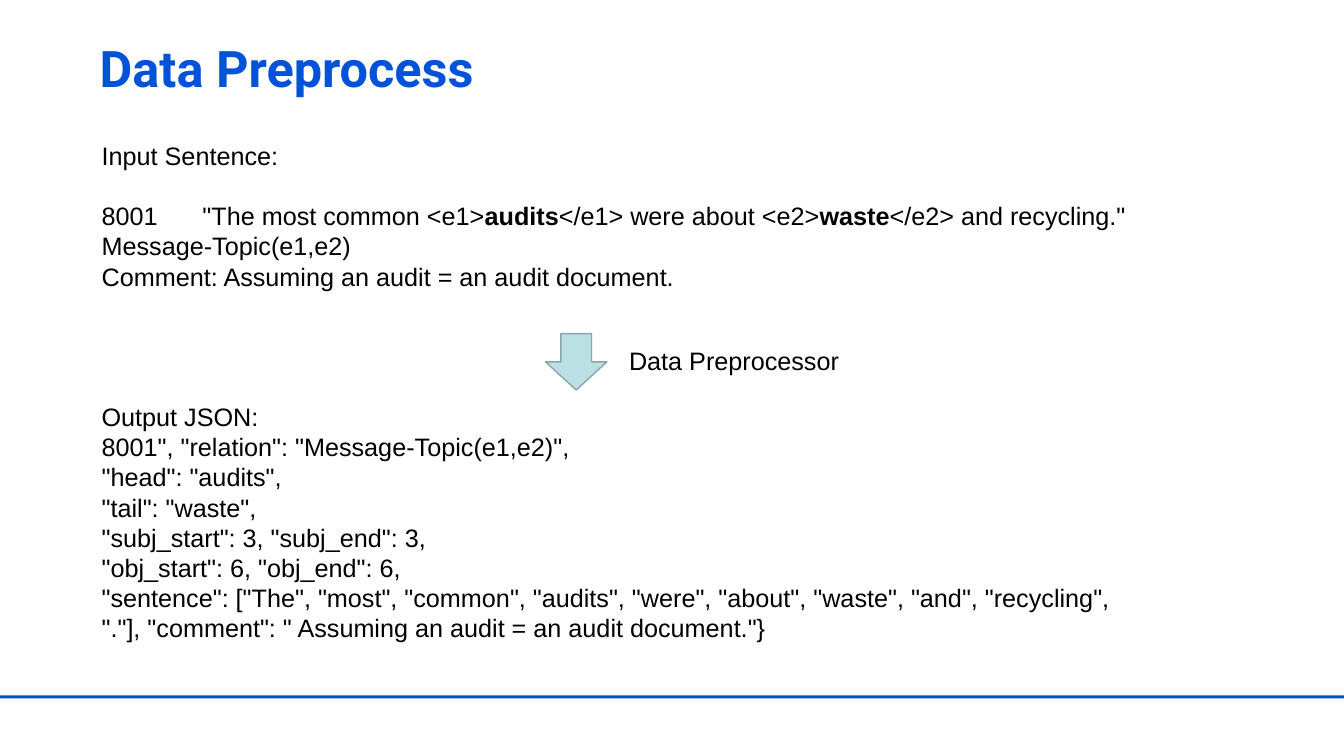
from dataclasses import dataclass

from pptx import Presentation
from pptx.dml.color import RGBColor
from pptx.enum.shapes import MSO_SHAPE
from pptx.enum.text import MSO_ANCHOR
from pptx.slide import Slide
from pptx.text.text import TextFrame
from pptx.util import Emu, Pt

PX = 9144  # 100 px to the inch
BOLD = "**"  # switches bold on and off


@dataclass(frozen=True)
class Theme:
    white: str = "FFFFFF"
    black: str = "000000"
    blue: str = "0052D9"
    rule: str = "004CD8"
    arrow: str = "BBE0E3"
    edge: str = "8AA6A8"
    head_font: str = "Roboto"
    body_font: str = "Arial"
    head_size: int = 36
    body_size: int = 18
    gap: float = 21.5


THEME = Theme()


@dataclass(frozen=True)
class Box:
    left: int
    top: int
    width: int
    height: int

    def emu(self) -> tuple[Emu, ...]:
        sides = (self.left, self.top, self.width, self.height)
        return tuple(Emu(side * PX) for side in sides)


@dataclass(frozen=True)
class Note:
    box: Box
    lines: tuple[str, ...]
    gap_at: int | None = None
    filled: bool = False
    title: bool = False


@dataclass(frozen=True)
class Block:
    kind: MSO_SHAPE
    box: Box
    fill: str
    edge: str | None = None


BLOCKS = (
    Block(MSO_SHAPE.RECTANGLE, Box(0, 690, 1333, 3), THEME.rule),
    Block(MSO_SHAPE.DOWN_ARROW, Box(541, 331, 61, 56), THEME.arrow, THEME.edge),
)

NOTES = (
    Note(Box(89, 36, 468, 61), ("Data Preprocess",), title=True),
    Note(
        Box(91, 134, 1045, 192),
        (
            "Input Sentence:",
            '8001\t"The most common <e1>**audits**</e1> were about '
            '<e2>**waste**</e2> and recycling."',
            "Message-Topic(e1,e2)",
            "Comment: Assuming an audit = an audit document.",
        ),
        gap_at=1,
        filled=True,
    ),
    Note(
        Box(91, 393, 1045, 252),
        (
            "Output JSON:",
            '8001", "relation": "Message-Topic(e1,e2)",',
            '"head": "audits",',
            '"tail": "waste",',
            '"subj_start": 3, "subj_end": 3,',
            '"obj_start": 6, "obj_end": 6,',
            '"sentence": ["The", "most", "common", "audits", "were", "about", '
            '"waste", "and", "recycling", "."], '
            '"comment": " Assuming an audit = an audit document."}',
        ),
        filled=True,
    ),
    Note(Box(614, 338, 231, 40), ("Data Preprocessor",)),
)


def color(code: str) -> RGBColor:
    return RGBColor.from_string(code)


def write(frame: TextFrame, note: Note) -> None:
    """Fill the frame line by line, with marked words in bold."""
    for row, line in enumerate(note.lines):
        para = frame.paragraphs[0] if row == 0 else frame.add_paragraph()
        if row == note.gap_at:
            para.space_before = Pt(THEME.gap)
        for part, words in enumerate(line.split(BOLD)):
            run = para.add_run()
            run.text = words
            font = run.font
            font.bold = note.title or part % 2 == 1
            font.name = THEME.head_font if note.title else THEME.body_font
            font.size = Pt(THEME.head_size if note.title else THEME.body_size)
            font.color.rgb = color(THEME.blue if note.title else THEME.black)


def add_note(slide: Slide, note: Note) -> None:
    shape = slide.shapes.add_textbox(*note.box.emu())
    if note.filled:
        shape.fill.solid()
        shape.fill.fore_color.rgb = color(THEME.white)
    frame = shape.text_frame
    frame.word_wrap = True
    frame.vertical_anchor = MSO_ANCHOR.MIDDLE if note.title else MSO_ANCHOR.TOP
    write(frame, note)


def add_block(slide: Slide, block: Block) -> None:
    shape = slide.shapes.add_shape(block.kind, *block.box.emu())
    shape.shadow.inherit = False
    shape.fill.solid()
    shape.fill.fore_color.rgb = color(block.fill)
    if block.edge:
        shape.line.color.rgb = color(block.edge)
        shape.line.width = Pt(1)
    else:
        shape.line.fill.background()


def main() -> None:
    deck = Presentation()
    deck.slide_width = Emu(1333 * PX)
    deck.slide_height = Emu(750 * PX)
    slide = deck.slides.add_slide(deck.slide_layouts[6])
    for note in NOTES:
        add_note(slide, note)
    for block in BLOCKS:
        add_block(slide, block)
    deck.save("out.pptx")


if __name__ == "__main__":
    main()
